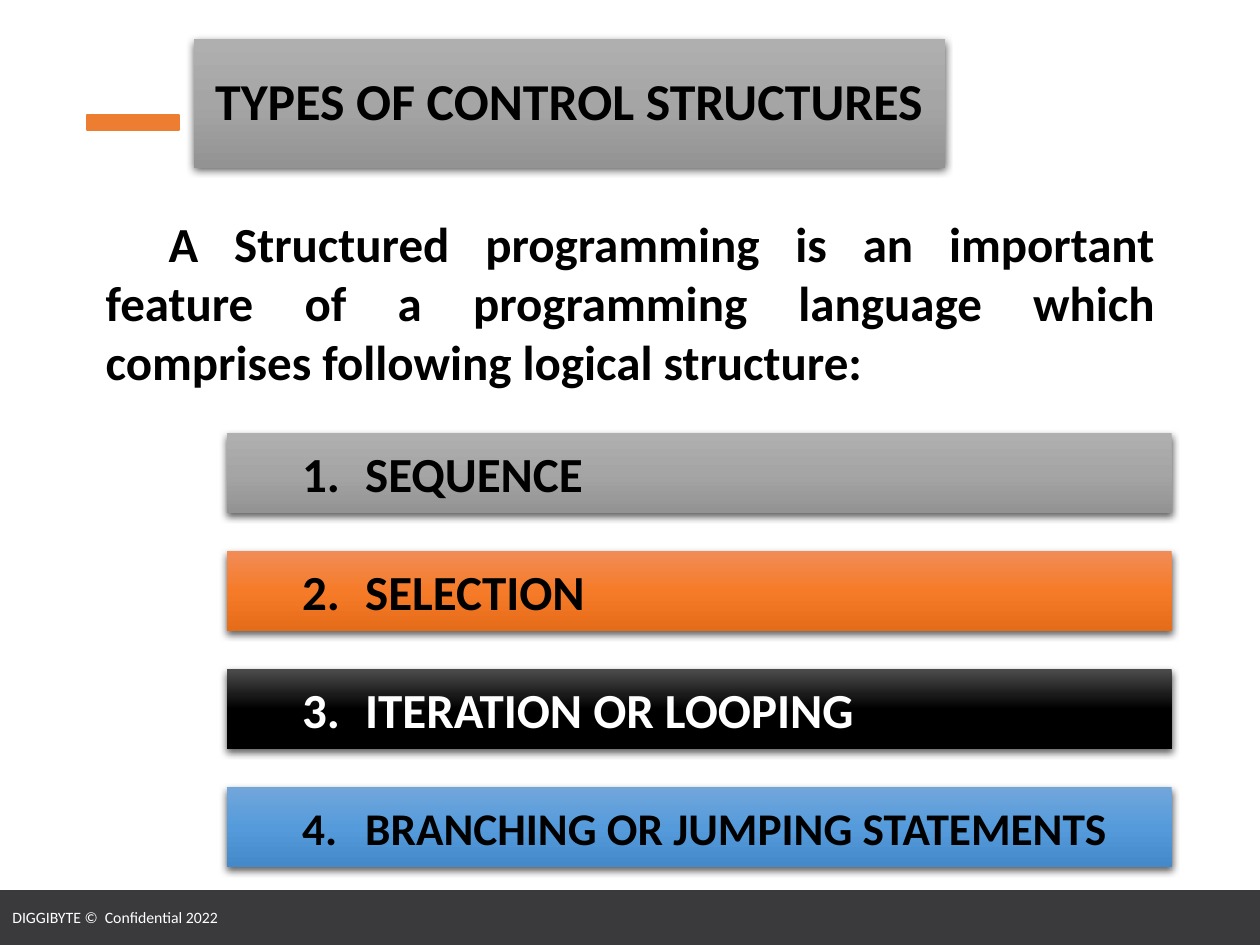
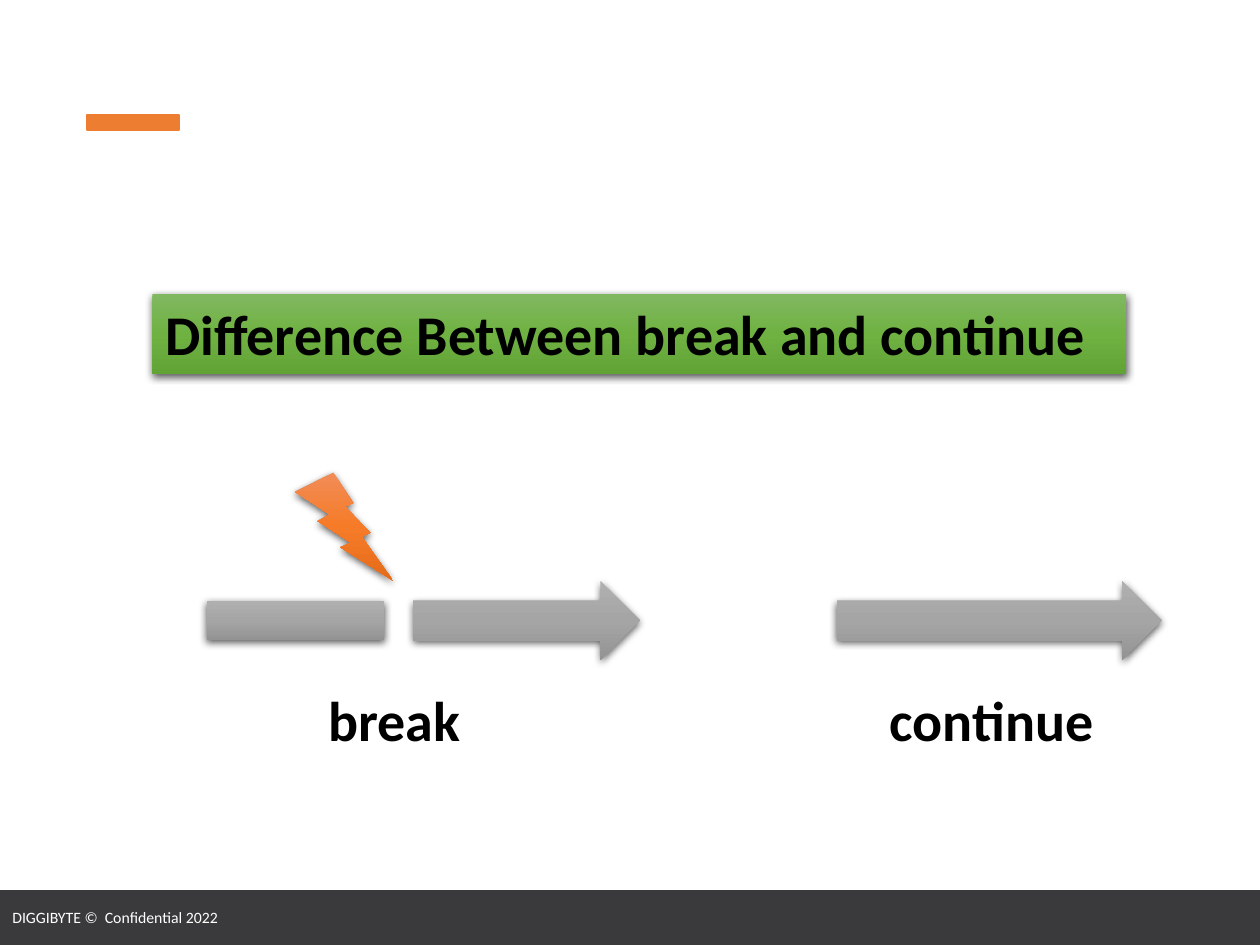
from dataclasses import dataclass

from lxml import etree
from pptx import Presentation
from pptx.dml.color import RGBColor
from pptx.enum.shapes import MSO_SHAPE
from pptx.enum.text import MSO_ANCHOR, MSO_AUTO_SIZE, PP_ALIGN
from pptx.oxml.ns import qn
from pptx.util import Inches, Pt

RECTANGLE = MSO_SHAPE.RECTANGLE
RIGHT_ARROW = MSO_SHAPE.RIGHT_ARROW
LIGHTNING = MSO_SHAPE.LIGHTNING_BOLT
LEFT, CENTER, JUSTIFY = PP_ALIGN.LEFT, PP_ALIGN.CENTER, PP_ALIGN.JUSTIFY
TOP, MIDDLE = MSO_ANCHOR.TOP, MSO_ANCHOR.MIDDLE
FIXED_SIZE = MSO_AUTO_SIZE.NONE
TITLE_ONLY = 5


@dataclass(frozen=True)
class Theme:
    font: str = "Calibri"
    black: str = "000000"
    white: str = "FFFFFF"
    footer: str = "3A3A3C"
    accent: str = "ED7D31"
    gray_blend: tuple = ("AFAFAF", "A5A5A5", "939393")
    orange_blend: tuple = ("F18C57", "F67B28", "E56C19")
    black_blend: tuple = ("4B4B4B", "000000", "000000")
    blue_blend: tuple = ("71A6DB", "559BDB", "448ACA")
    green_blend: tuple = ("81B861", "6FB242", "62A336")
    footer_size: float = 9
    long_item_size: float = 25.9
    body_size: float = 28
    title_size: float = 29.6
    heading_size: float = 32


THEME = Theme()


def place(shape, left, top, width, height):
    shape.left, shape.top = Inches(left), Inches(top)
    shape.width, shape.height = Inches(width), Inches(height)


def add_color(parent, color):
    return etree.SubElement(parent, qn("a:srgbClr"), val=color)


def style_glossy(shape, blend):
    shape.fill.gradient()
    shape.fill.gradient_angle = 270
    shape.line.fill.background()
    shape.shadow.inherit = False
    properties = shape.element.spPr
    stops = properties.find(qn("a:gradFill")).find(qn("a:gsLst"))
    for stop in list(stops):
        stops.remove(stop)
    for index, color in enumerate(blend):
        stop = etree.SubElement(stops, qn("a:gs"), pos=str(index * 50000))
        add_color(stop, color)
    shadow = etree.SubElement(
        properties.find(qn("a:effectLst")), qn("a:outerShdw"),
        blurRad=str(Pt(4.5)), dist=str(Pt(1.5)), dir="5400000",
        algn="ctr", rotWithShape="0")
    etree.SubElement(add_color(shadow, THEME.black), qn("a:alpha"), val="63000")


def set_text(shape, text, size, color=THEME.black, bold=True, align=LEFT,
             anchor=MIDDLE, wrap=True, margin=0, indent=0):
    frame = shape.text_frame
    frame.text = text
    frame.word_wrap = wrap
    frame.auto_size = FIXED_SIZE
    frame.vertical_anchor = anchor
    para = frame.paragraphs[0]
    para.alignment = align
    properties = para._p.get_or_add_pPr()
    properties.set("marL", str(Inches(margin)))
    properties.set("indent", str(Inches(indent)))
    for span in para.runs:
        span.font.name = THEME.font
        span.font.size = Pt(size)
        span.font.bold = bold
        span.font.color.rgb = RGBColor.from_string(color)


def add_flat_bar(page, area, color):
    bar = page.shapes.add_shape(RECTANGLE, *map(Inches, area))
    bar.shadow.inherit = False
    bar.fill.solid()
    bar.fill.fore_color.rgb = RGBColor.from_string(color)
    bar.line.color.rgb = RGBColor.from_string(color)
    bar.line.width = Pt(1)
    return bar


def add_glossy_shape(page, kind, area, blend):
    shape = page.shapes.add_shape(kind, *map(Inches, area))
    style_glossy(shape, blend)
    return shape


def add_label(page, text, area, size, **options):
    box = page.shapes.add_textbox(*map(Inches, area))
    set_text(box, text, size, **options)


def add_title(page, text, area, blend, size, **options):
    title = page.shapes.title
    place(title, *area)
    style_glossy(title, blend)
    set_text(title, text, size, **options)
    return title


def add_page(deck):
    page = deck.slides.add_slide(deck.slide_layouts[TITLE_ONLY])
    footer = add_flat_bar(page, (0, 7.07, 10, 0.42), THEME.footer)
    set_text(footer, "DIGGIBYTE ©\u00a0 Confidential 2022".replace("\u00a0", " "),
             THEME.footer_size, THEME.white, bold=False)
    add_flat_bar(page, (0.69, 0.91, 0.73, 0.12), THEME.accent)
    return page


def add_structure_types(deck):
    page = add_page(deck)
    title = add_title(page, "TYPES OF CONTROL STRUCTURES", (1.54, 0.31, 5.96, 1.02),
                      THEME.gray_blend, THEME.title_size, align=CENTER)
    title.text_frame.paragraphs[0].line_spacing = 0.9
    add_label(page, "A Structured programming is an important feature of a "
              "programming language which comprises following logical structure:",
              (0.74, 1.64, 8.52, 1.51), THEME.body_size, align=JUSTIFY, indent=0.5)
    structures = (
        ("SEQUENCE", THEME.gray_blend, THEME.black, THEME.body_size),
        ("SELECTION", THEME.orange_blend, THEME.black, THEME.body_size),
        ("ITERATION OR LOOPING", THEME.black_blend, THEME.white, THEME.body_size),
        ("BRANCHING OR JUMPING STATEMENTS", THEME.blue_blend, THEME.black,
         THEME.long_item_size),
    )
    for index, (name, blend, color, size) in enumerate(structures):
        area = (1.8, 3.44 + index * 0.9367, 7.5, 0.63)
        bar = add_glossy_shape(page, RECTANGLE, area, blend)
        set_text(bar, f"{index + 1}.\t{name}", size, color, margin=1, indent=-0.5)


def add_break_and_continue(deck):
    page = add_page(deck)
    add_title(page, "Difference Between break and continue", (1.21, 2.33, 7.73, 0.64),
              THEME.green_blend, THEME.heading_size, anchor=TOP)
    flow_shapes = (
        (RECTANGLE, (1.64, 4.77, 1.41, 0.31), THEME.gray_blend),
        (RIGHT_ARROW, (3.28, 4.61, 1.8, 0.63), THEME.gray_blend),
        (RIGHT_ARROW, (6.64, 4.61, 2.58, 0.63), THEME.gray_blend),
        (LIGHTNING, (2.34, 3.75, 0.78, 0.86), THEME.orange_blend),
    )
    for kind, area, blend in flow_shapes:
        add_glossy_shape(page, kind, area, blend)
    for keyword, left, width in (("break", 2.5, 1.26), ("continue", 6.95, 1.84)):
        add_label(page, keyword, (left, 5.39, width, 0.64), THEME.heading_size,
                  align=CENTER, anchor=TOP, wrap=False)


def main():
    deck = Presentation()
    deck.slide_width, deck.slide_height = Inches(10), Inches(7.5)
    add_structure_types(deck)
    add_break_and_continue(deck)
    deck.save("out.pptx")


if __name__ == "__main__":
    main()
